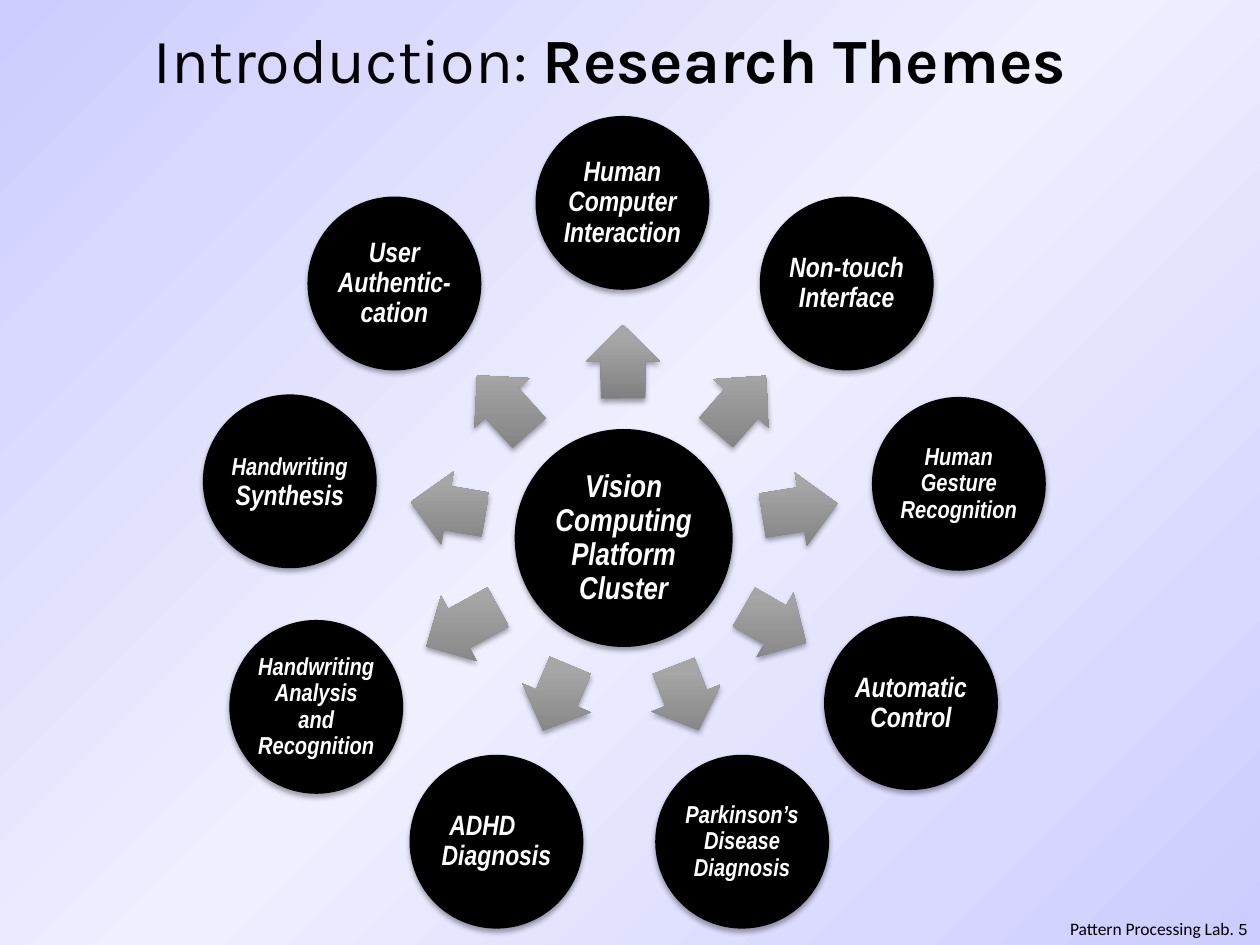
"""Build a slide with research themes around a central hub."""
from copy import deepcopy
from dataclasses import dataclass
from math import atan2, cos, degrees, hypot, sin

from lxml.etree import SubElement
from pptx import Presentation
from pptx.dml.color import RGBColor
from pptx.enum.shapes import MSO_SHAPE
from pptx.enum.text import MSO_ANCHOR, PP_ALIGN
from pptx.oxml.ns import qn
from pptx.util import Inches, Pt

BLACK, WHITE = "000000", "FFFFFF"
HUB = (4.95, 4.27)
HUB_SIZE, DISC_SIZE = 1.73, 1.38


@dataclass
class Theme:
    x: float
    y: float
    runs: list[tuple[str, int]]


THEMES = [
    Theme(4.94, 1.61, [("Human Computer Interaction", 16)]),
    Theme(6.72, 2.25, [("Non-touch Interface", 16)]),
    Theme(7.61, 3.84, [("Human Gesture Recognition", 14)]),
    Theme(7.23, 5.58, [("Automatic Control", 16)]),
    Theme(5.89, 6.68, [("Parkinson’s Disease Diagnosis", 14)]),
    Theme(3.94, 6.68, [("ADHD　Diagnosis", 16)]),
    Theme(2.51, 5.61, [("Handwriting Analysis and Recognition", 14)]),
    Theme(2.30, 3.82, [("Handwriting", 14), (" Synthesis", 16)]),
    Theme(3.13, 2.25, [("User Authentic-cation", 16)]),
]


def color(code: str) -> RGBColor:
    return RGBColor.from_string(code)


def write(para, text: str, *, size: int, face: str = "Karla", tint: str = BLACK,
          bold: bool = False, slant: bool = False) -> None:
    run = para.add_run()
    run.text = text
    font = run.font
    font.size, font.name, font.bold, font.italic = Pt(size), face, bold, slant
    font.color.rgb = color(tint)


def blend(fill, root, stops: list[tuple[float, str]], angle: float) -> None:
    fill.gradient()
    fill.gradient_angle = angle
    grad = root.find(".//" + qn("a:gradFill"))
    grad.set("rotWithShape", "0")
    items = grad.find(qn("a:gsLst"))
    while len(items) < len(stops):
        items.append(deepcopy(items[0]))
    for stop, (place, code) in zip(fill.gradient_stops, stops):
        stop.position = place
        stop.color.rgb = color(code)


def shade(shape) -> None:
    shape.shadow.inherit = False
    effects = shape._element.spPr.find(qn("a:effectLst"))
    outer = SubElement(effects, qn("a:outerShdw"), blurRad=str(Pt(3.1)),
                       dist=str(Pt(1.8)), dir="5400000", rotWithShape="0")
    tone = SubElement(outer, qn("a:srgbClr"), val=BLACK)
    SubElement(tone, qn("a:alpha"), val="35000")


def place(slide, kind, x: float, y: float, width: float, height: float):
    shape = slide.shapes.add_shape(kind, Inches(x - width / 2), Inches(y - height / 2),
                                   Inches(width), Inches(height))
    shape.line.fill.background()
    shade(shape)
    return shape


def set_box(frame, inset: float) -> None:
    frame.word_wrap = True
    frame.vertical_anchor = MSO_ANCHOR.MIDDLE
    frame.margin_left = frame.margin_right = Inches(inset)
    frame.margin_top = frame.margin_bottom = Inches(inset)


def add_disc(slide, x: float, y: float, size: float, runs: list[tuple[str, int]]) -> None:
    disc = place(slide, MSO_SHAPE.OVAL, x, y, size, size)
    disc.fill.solid()
    disc.fill.fore_color.rgb = color(BLACK)
    set_box(disc.text_frame, 0.02)
    para = disc.text_frame.paragraphs[0]
    para.alignment = PP_ALIGN.CENTER
    para.line_spacing = 0.9
    for text, points in runs:
        write(para, text, size=points, face="Arial Narrow", tint=WHITE, bold=True, slant=True)


def add_arrow(slide, theme: Theme) -> None:
    dx, dy = theme.x - HUB[0], theme.y - HUB[1]
    span, turn = hypot(dx, dy), atan2(dy, dx)
    gap = span - (HUB_SIZE + DISC_SIZE) / 2
    reach = span / 2 + 0.07
    arrow = place(slide, MSO_SHAPE.RIGHT_ARROW, HUB[0] + reach * cos(turn),
                  HUB[1] + reach * sin(turn), 0.53 * gap, 0.59)
    arrow.adjustments[0], arrow.adjustments[1] = 0.6, 0.5
    arrow.rotation = degrees(turn) % 360
    blend(arrow.fill, arrow._element.spPr, [(0, "808080"), (0.8, "A6A6A6"), (1, "A7A7A7")], 90)


def add_title(slide) -> None:
    title = slide.shapes.title
    title.left, title.top = Inches(0.59), Inches(0.13)
    title.width, title.height = Inches(8.5), Inches(0.66)
    set_box(title.text_frame, 0.05)
    para = title.text_frame.paragraphs[0]
    para.alignment = PP_ALIGN.CENTER
    write(para, "Introduction: ", size=36)
    write(para, "Research Themes", size=36, bold=True)


def add_foot(slide) -> None:
    box = slide.shapes.add_textbox(Inches(7.92), Inches(7.24), Inches(2.08), Inches(0.25))
    box.text_frame.word_wrap = True
    para = box.text_frame.paragraphs[0]
    para.alignment = PP_ALIGN.RIGHT
    write(para, "Pattern Processing Lab. ", size=10, face="Calibri")
    write(para, "5", size=10)


def main() -> None:
    deck = Presentation()
    deck.slide_width, deck.slide_height = Inches(10), Inches(7.5)
    slide = deck.slides.add_slide(deck.slide_layouts[5])
    blend(slide.background.fill, slide._element,
          [(0, "CCCCFF"), (0.5, "EFEFFF"), (1, "CCCCFF")], 315)
    add_foot(slide)
    add_title(slide)
    add_disc(slide, *HUB, HUB_SIZE, [("Vision Computing Platform Cluster", 18)])
    for theme in THEMES:
        add_arrow(slide, theme)
        add_disc(slide, theme.x, theme.y, DISC_SIZE, theme.runs)
    deck.save("out.pptx")


if __name__ == "__main__":
    main()
